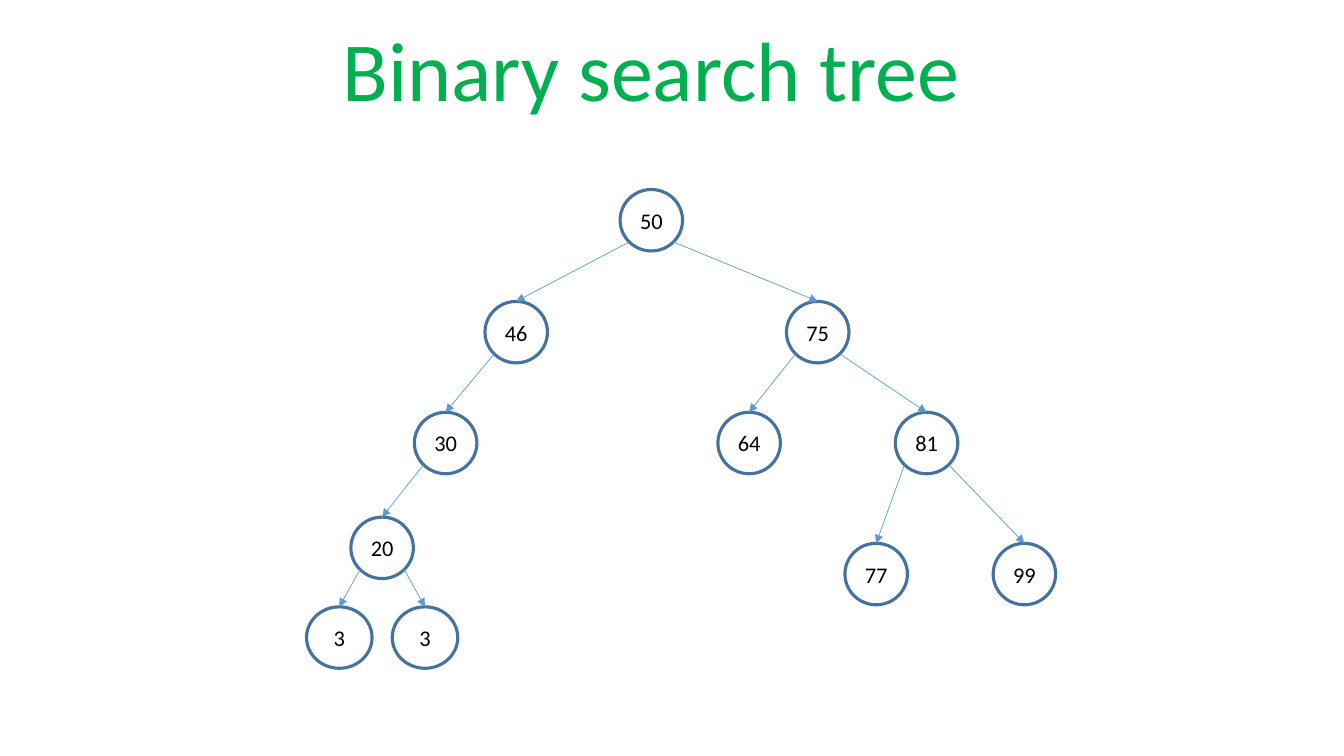
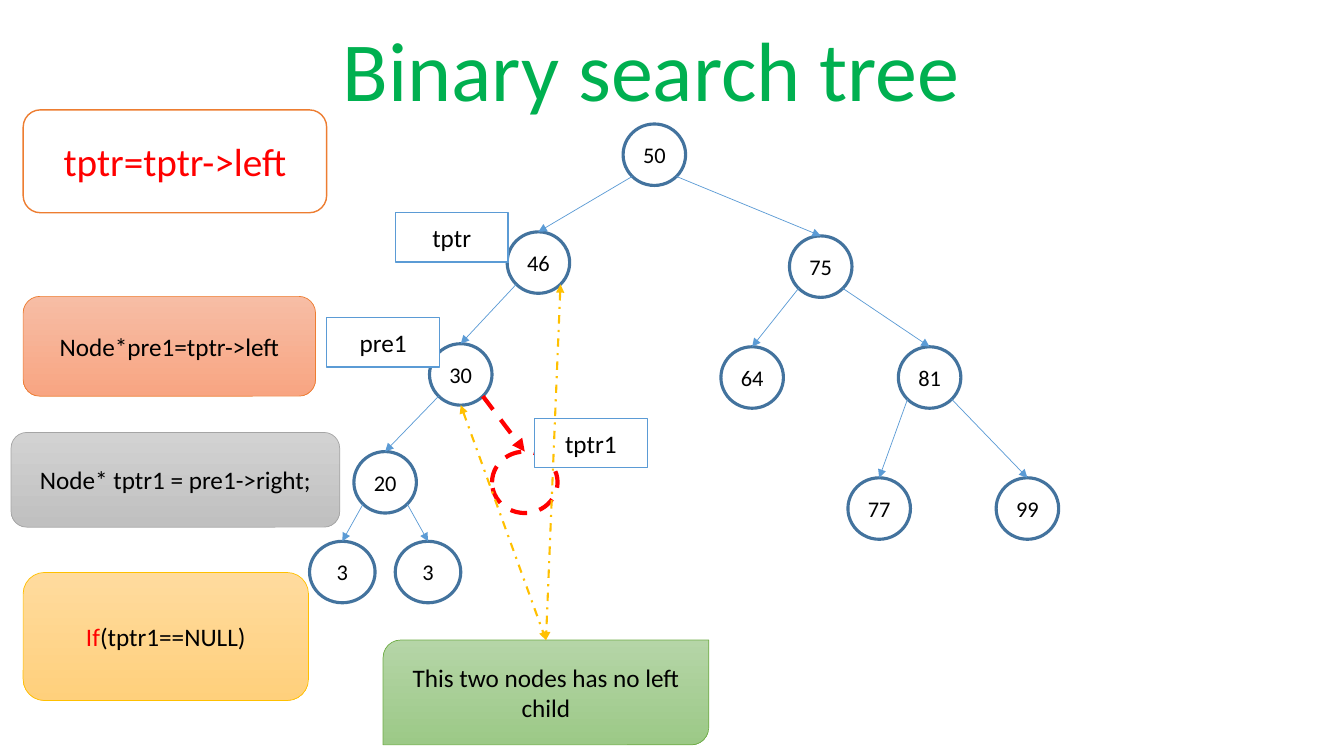
from dataclasses import dataclass, replace
from math import sqrt

from lxml import etree
from pptx import Presentation
from pptx.dml.color import RGBColor
from pptx.enum.dml import MSO_LINE_DASH_STYLE as Dash
from pptx.enum.shapes import MSO_CONNECTOR, MSO_SHAPE as Shape
from pptx.enum.text import MSO_ANCHOR, MSO_AUTO_SIZE, PP_ALIGN
from pptx.oxml.ns import qn
from pptx.util import Inches, Pt

FONT = "Calibri"
WHITE = RGBColor(0xFF, 0xFF, 0xFF)
BLACK = RGBColor(0x00, 0x00, 0x00)
RED = RGBColor(0xFF, 0x00, 0x00)
GREEN = RGBColor(0x00, 0xB0, 0x50)
NODE_BLUE = RGBColor(0x43, 0x73, 0x9E)
LINK_BLUE = RGBColor(0x5B, 0x9B, 0xD5)
ORANGE = RGBColor(0xED, 0x7D, 0x31)
GRAY = RGBColor(0xA5, 0xA5, 0xA5)
GOLD = RGBColor(0xFF, 0xC0, 0x00)
LEAF_GREEN = RGBColor(0x70, 0xAD, 0x47)
ORANGE_FADE = (RGBColor(0xF7, 0xBD, 0xA5), RGBColor(0xF8, 0xA5, 0x82))
GRAY_FADE = (RGBColor(0xD2, 0xD2, 0xD2), RGBColor(0xC0, 0xC0, 0xC0))
GOLD_FADE = (RGBColor(0xFF, 0xDB, 0x9E), RGBColor(0xFF, 0xD0, 0x7C))
GREEN_FADE = (RGBColor(0xB5, 0xD5, 0xA7), RGBColor(0x9C, 0xC9, 0x87))

NODE_WIDTH, LEAF_WIDTH, NODE_HEIGHT = 0.62, 0.65, 0.61


@dataclass(frozen=True)
class Node:
    """A tree node, placed relative to the tree's top-left corner."""
    label: str
    left: float
    top: float
    parent: str = ""
    side: int = -1
    width: float = NODE_WIDTH


TREE = {
    "root": Node("50", 3.11, 0),
    "46": Node("46", 1.77, 1.11, "root"),
    "75": Node("75", 4.76, 1.11, "root", 1),
    "30": Node("30", 1.07, 2.21, "46"),
    "64": Node("64", 4.08, 2.21, "75"),
    "81": Node("81", 5.84, 2.21, "75", 1),
    "20": Node("20", 0.44, 3.25, "30"),
    "77": Node("77", 5.34, 3.51, "81"),
    "99": Node("99", 6.81, 3.51, "81", 1),
    "left leaf": Node("3", 0, 4.14, "20", -1, LEAF_WIDTH),
    "right leaf": Node("3", 0.85, 4.14, "20", 1, LEAF_WIDTH),
}


def write_text(shape, *parts, size=18, color=BLACK, anchor=MSO_ANCHOR.MIDDLE,
               spacing=None, wrap=True):
    """Write centred runs; a part is a string or a (string, colour) pair."""
    frame = shape.text_frame
    frame.auto_size = MSO_AUTO_SIZE.NONE
    frame.word_wrap = wrap
    frame.vertical_anchor = anchor
    paragraph = frame.paragraphs[0]
    paragraph.alignment = PP_ALIGN.CENTER
    if spacing:
        paragraph.line_spacing = spacing
    for part in parts:
        words, part_color = (part, color) if isinstance(part, str) else part
        run = paragraph.add_run()
        run.text = words
        run.font.name = FONT
        run.font.size = Pt(size)
        run.font.color.rgb = part_color


def style_line(line, color, weight, dash=None):
    """Set the colour, weight and dash of a line."""
    line.color.rgb = color
    line.width = Pt(weight)
    if dash:
        line.dash_style = dash


def add_box(slide, kind, box, line, weight, fade=None, dash=None):
    """Add a white or shaded shape in a box given in inches."""
    shape = slide.shapes.add_shape(kind, *map(Inches, box))
    shape.shadow.inherit = False
    if fade:
        shape.fill.gradient()
        shape.fill.gradient_angle = 270
        for stop, color in zip(shape.fill.gradient_stops, fade):
            stop.color.rgb = color
    else:
        shape.fill.solid()
        shape.fill.fore_color.rgb = WHITE
    style_line(shape.line, line, weight, dash)
    return shape


def add_arrow(slide, start, target, color=LINK_BLUE, weight=0.5, dash=None,
              both_ends=False):
    """Draw an arrow from a point to the top of a target shape."""
    arrow = slide.shapes.add_connector(MSO_CONNECTOR.STRAIGHT, *start, *start)
    arrow.end_connect(target, 0)
    style_line(arrow.line, color, weight, dash)
    properties = arrow._element.spPr
    outline = properties.find(qn("a:ln"))
    for end in ("a:headEnd", "a:tailEnd") if both_ends else ("a:tailEnd",):
        etree.SubElement(outline, qn(end), type="triangle")
    etree.SubElement(properties, qn("a:effectLst"))
    return arrow


def lower_corner(node, side):
    """Return the point at 45 degrees on the lower left or right of a node."""
    reach = 1 / sqrt(8)
    return (int(node.left + node.width * (0.5 + side * reach)),
            int(node.top + node.height * (0.5 + reach)))


def draw_tree(slide, left, top, tree):
    """Draw nodes and their links from a top-left corner; return the nodes."""
    shapes = {}
    for name, node in tree.items():
        box = (left + node.left, top + node.top, node.width, NODE_HEIGHT)
        shape = add_box(slide, Shape.OVAL, box, NODE_BLUE, 2.25)
        write_text(shape, node.label, size=16, wrap=False)
        shapes[name] = shape
        if node.parent:
            add_arrow(slide, lower_corner(shapes[node.parent], node.side), shape)
    return shapes


def draw_pointers(slide, left, top, parent):
    """Draw the pointer labels and the missing right child of a node."""
    missing_box = (left + 1.64, top + 2.37, LEAF_WIDTH, NODE_HEIGHT)
    missing = add_box(slide, Shape.OVAL, missing_box, RED, 3, dash=Dash.DASH)
    add_arrow(slide, lower_corner(parent, 1), missing, RED, 3, Dash.DASH)
    for name, x, y in (("tptr", 0.68, 0), ("pre1", 0, 1.04), ("tptr1", 2.06, 2.04)):
        label = add_box(slide, Shape.RECTANGLE, (left + x, top + y, 1.12, 0.49),
                        LINK_BLUE, 1)
        write_text(label, name)


def draw_steps(slide, left, top):
    """Draw the column of code steps."""
    steps = (
        (0.12, 0, 3.01, 1.02, ORANGE, 1, None, 28, [("tptr=tptr->left", RED)]),
        (0.12, 1.85, 2.9, 0.99, ORANGE, 0.5, ORANGE_FADE, 18, ["Node*pre1=tptr->left"]),
        (0, 3.2, 3.26, 0.94, GRAY, 0.5, GRAY_FADE, 18, ["Node* tptr1 = pre1->right;"]),
        (0.12, 4.59, 2.83, 1.27, GOLD, 0.5, GOLD_FADE, 18, [("If", RED), "(tptr1==NULL)"]),
    )
    for x, y, width, height, line, weight, fade, size, parts in steps:
        step = add_box(slide, Shape.ROUNDED_RECTANGLE,
                       (left + x, top + y, width, height), line, weight, fade)
        write_text(step, *parts, size=size)


def draw_note(slide, box, nodes):
    """Draw the note and its two-way arrows to the nodes it speaks of."""
    note = add_box(slide, Shape.ROUND_2_DIAG_RECTANGLE, box, LEAF_GREEN, 0.5, GREEN_FADE)
    write_text(note, "This two nodes has no left child")
    lower = nodes["30"]
    bottom = (lower.left + lower.width // 2, lower.top + lower.height)
    for start in (lower_corner(nodes["46"], 1), bottom):
        add_arrow(slide, start, note, GOLD, 1.5, Dash.DASH_DOT, both_ends=True)


def add_titled_slide(presentation):
    """Add a title-only slide with the shared title."""
    slide = presentation.slides.add_slide(presentation.slide_layouts[5])
    title = slide.shapes.title
    title.left, title.top, title.width, title.height = map(Inches, (1.46, 0.18, 10, 1.06))
    write_text(title, "Binary search tree", size=60, color=GREEN,
               anchor=MSO_ANCHOR.BOTTOM, spacing=0.9)
    return slide


def build_tree_slide(presentation):
    """Build the slide with the plain tree."""
    slide = add_titled_slide(presentation)
    draw_tree(slide, 3.04, 1.88, TREE)


def build_pointer_slide(presentation):
    """Build the slide with the tree, pointers and code steps."""
    slide = add_titled_slide(presentation)
    tree = TREE | {
        "46": replace(TREE["46"], left=1.96, top=1.07),
        "30": replace(TREE["30"], left=1.19, top=2.18),
    }
    nodes = draw_tree(slide, 3.07, 1.23, tree)
    draw_pointers(slide, 3.24, 2.11, nodes["30"])
    draw_steps(slide, 0.11, 1.09)
    draw_note(slide, (3.8, 6.35, 3.23, 1.04), nodes)


def main():
    """Build and save the presentation."""
    presentation = Presentation()
    presentation.slide_width = Inches(13.33)
    presentation.slide_height = Inches(7.5)
    build_tree_slide(presentation)
    build_pointer_slide(presentation)
    presentation.save("out.pptx")


if __name__ == "__main__":
    main()
